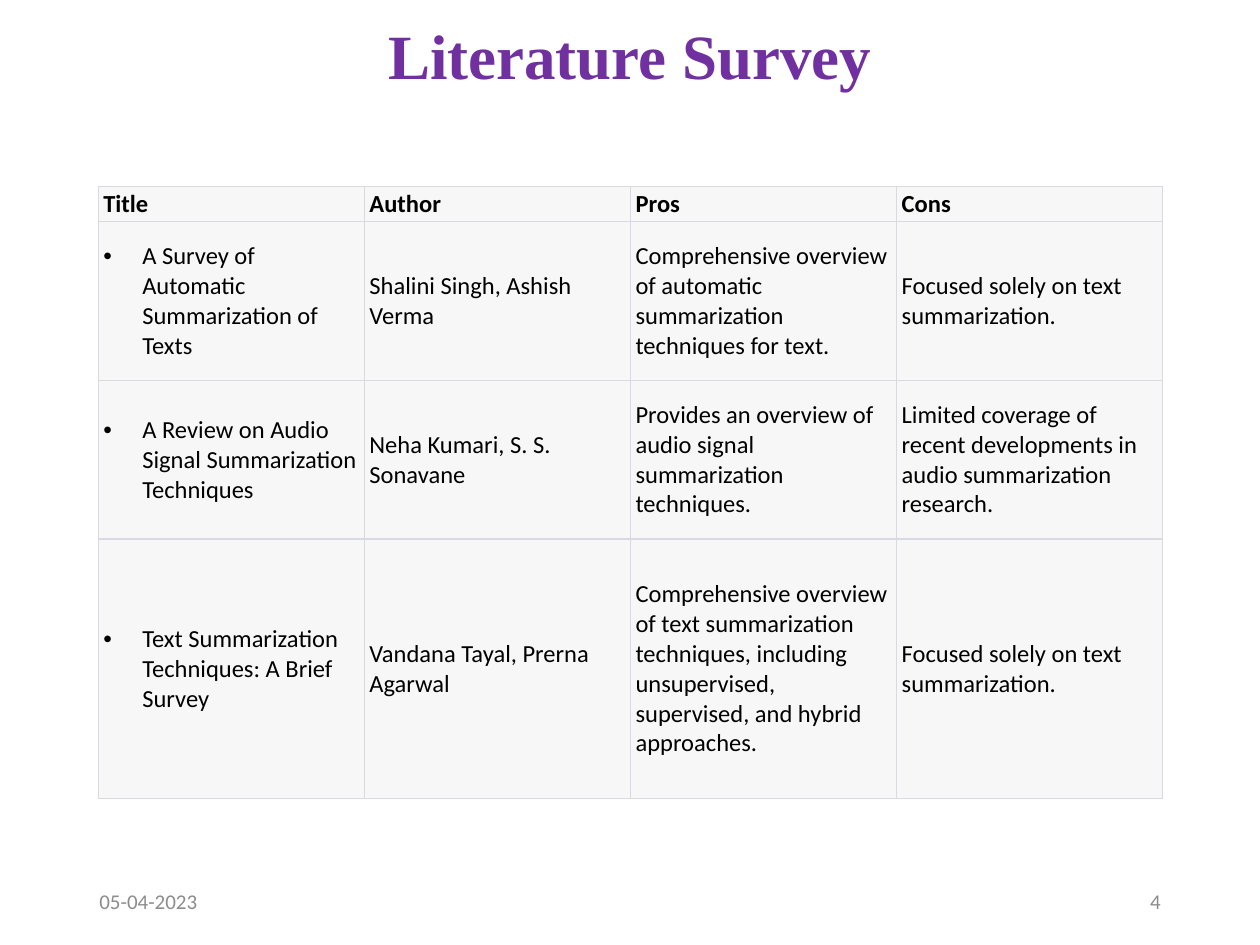
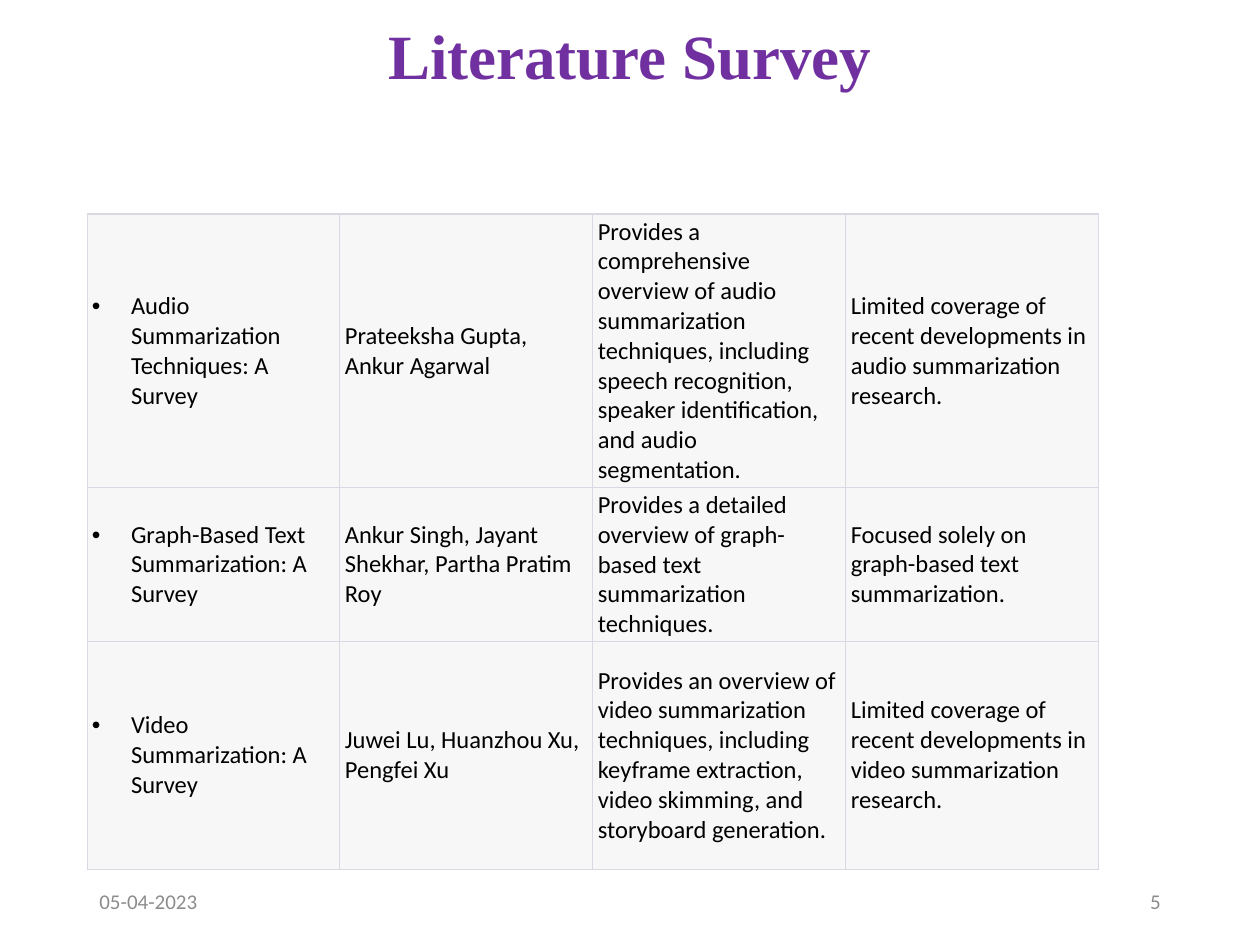
from pptx import Presentation
from pptx.dml.color import RGBColor
from pptx.enum.text import MSO_ANCHOR, MSO_AUTO_SIZE, PP_ALIGN
from pptx.oxml.ns import qn
from pptx.util import Inches, Pt
from lxml.etree import SubElement

PURPLE = RGBColor(0x70, 0x30, 0xA0)
GREY = RGBColor(0x8C, 0x8C, 0x8C)
BLACK = RGBColor(0, 0, 0)
CELL_FILL = RGBColor(0xF7, 0xF7, 0xF8)
BORDER = RGBColor(0xD9, 0xD9, 0xE3)

TITLE_FONT = {"name": "Times New Roman", "size": Pt(36), "bold": True}
FOOTER_FONT = {"name": "Calibri", "size": Pt(12)}
BODY_FONT = {"name": "Calibri", "size": Pt(14), "bold": False}
HEADER_FONT = BODY_FONT | {"bold": True}
CELL_FORMAT = {
    "margin_left": Inches(0.04), "margin_right": Inches(0.04),
    "margin_top": Inches(0.02), "margin_bottom": Inches(0.02),
}

TITLE_BOX = (0.69, 0.18, 8.62, 0.58)
DATE_BOX = (0.69, 6.95, 2.25, 0.4)
NUMBER_BOX = (7.06, 6.95, 2.25, 0.4)
DATE = "05-04-2023"
BULLET_INDENT = Inches(0.31)
THIN, THICK = Pt(0.6), Pt(1)

HEADINGS = ("Title", "Author", "Pros", "Cons")
GENERAL_SURVEYS = [
    ("A Survey of Automatic Summarization of Texts",
     "Shalini Singh, Ashish Verma",
     "Comprehensive overview of automatic summarization techniques for text.",
     "Focused solely on text summarization."),
    ("A Review on Audio Signal Summarization Techniques",
     "Neha Kumari, S. S. Sonavane",
     "Provides an overview of audio signal summarization techniques.",
     "Limited coverage of recent developments in audio summarization research."),
    ("Text Summarization Techniques: A Brief Survey",
     "Vandana Tayal, Prerna Agarwal",
     "Comprehensive overview of text summarization techniques, including "
     "unsupervised, supervised, and hybrid approaches.",
     "Focused solely on text summarization."),
]
MEDIA_SURVEYS = [
    ("Audio Summarization Techniques: A Survey",
     "Prateeksha Gupta, Ankur Agarwal",
     "Provides a comprehensive overview of audio summarization techniques, "
     "including speech recognition, speaker identification, and audio segmentation.",
     "Limited coverage of recent developments in audio summarization research."),
    ("Graph-Based Text Summarization: A Survey",
     "Ankur Singh, Jayant Shekhar, Partha Pratim Roy",
     "Provides a detailed overview of graph-based text summarization techniques.",
     "Focused solely on graph-based text summarization."),
    ("Video Summarization: A Survey",
     "Juwei Lu, Huanzhou Xu, Pengfei Xu",
     "Provides an overview of video summarization techniques, including "
     "keyframe extraction, video skimming, and storyboard generation.",
     "Limited coverage of recent developments in video summarization research."),
]


def set_format(target, values):
    for attribute, value in values.items():
        setattr(target, attribute, value)


def write(frame, text, font, color, align=PP_ALIGN.LEFT):
    """Put one formatted paragraph in a text frame."""
    paragraph = frame.paragraphs[0]
    paragraph.alignment = align
    run = paragraph.add_run()
    run.text = text
    set_format(run.font, font)
    run.font.color.rgb = color
    return paragraph


def add_title(slide, box, text):
    title = slide.shapes.title
    set_format(title, dict(zip(("left", "top", "width", "height"), map(Inches, box))))
    set_format(title.text_frame, {"vertical_anchor": MSO_ANCHOR.MIDDLE,
                                  "auto_size": MSO_AUTO_SIZE.NONE})
    write(title.text_frame, text, TITLE_FONT, PURPLE, PP_ALIGN.CENTER).line_spacing = 0.9


def add_footer(slide, box, text, align):
    frame = slide.shapes.add_textbox(*map(Inches, box)).text_frame
    set_format(frame, {"word_wrap": True, "vertical_anchor": MSO_ANCHOR.MIDDLE})
    write(frame, text, FOOTER_FONT, GREY, align)


def add_bullet(paragraph):
    properties = paragraph._p.get_or_add_pPr()
    properties.set("marL", str(BULLET_INDENT))
    properties.set("indent", str(-BULLET_INDENT))
    SubElement(properties, qn("a:buFont"), typeface="Arial")
    SubElement(properties, qn("a:buChar"), char="•")


def set_borders(cell, widths):
    """Draw the left, right, top and bottom lines of a cell."""
    properties = cell._tc.get_or_add_tcPr()
    for side, width in zip("LRTB", widths):
        line = SubElement(properties, qn(f"a:ln{side}"), w=str(width))
        fill = SubElement(line, qn("a:solidFill"))
        SubElement(fill, qn("a:srgbClr"), val=str(BORDER))


def add_survey_table(slide, box, rows, heights, has_header):
    left, top, width, height = map(Inches, box)
    table = slide.shapes.add_table(len(rows), len(HEADINGS), left, top, width, height).table
    set_format(table, {"first_row": False, "horz_banding": False})
    for column in table.columns:
        column.width = width // len(HEADINGS)
    for r, (texts, row_height) in enumerate(zip(rows, heights)):
        table.rows[r].height = Inches(row_height)
        is_header = has_header and r == 0
        above = THIN if is_header else THICK
        below = THIN if r == len(rows) - 1 else THICK
        for c, text in enumerate(texts):
            cell = table.cell(r, c)
            set_format(cell, CELL_FORMAT)
            cell.vertical_anchor = MSO_ANCHOR.BOTTOM if is_header else MSO_ANCHOR.MIDDLE
            set_borders(cell, (THIN, THIN, above, below))
            cell.fill.solid()
            cell.fill.fore_color.rgb = CELL_FILL
            paragraph = write(cell.text_frame, text,
                              HEADER_FONT if is_header else BODY_FONT, BLACK)
            if c == 0 and not is_header:
                add_bullet(paragraph)


def add_survey_slide(deck, number, box, rows, heights, has_header=False):
    slide = deck.slides.add_slide(deck.slide_layouts[5])  # title only
    add_title(slide, TITLE_BOX, "Literature Survey")
    add_footer(slide, DATE_BOX, DATE, PP_ALIGN.LEFT)
    add_footer(slide, NUMBER_BOX, str(number), PP_ALIGN.RIGHT)
    add_survey_table(slide, box, rows, heights, has_header)


deck = Presentation()
set_format(deck, {"slide_width": Inches(10), "slide_height": Inches(7.5)})
add_survey_slide(deck, 4, (0.78, 1.48, 8.45, 4.86), [HEADINGS, *GENERAL_SURVEYS],
                 (0.28, 1.26, 1.26, 2.06), has_header=True)
add_survey_slide(deck, 5, (0.69, 1.7, 8.03, 5.2), MEDIA_SURVEYS, (2.17, 1.22, 1.81))
deck.save("out.pptx")
